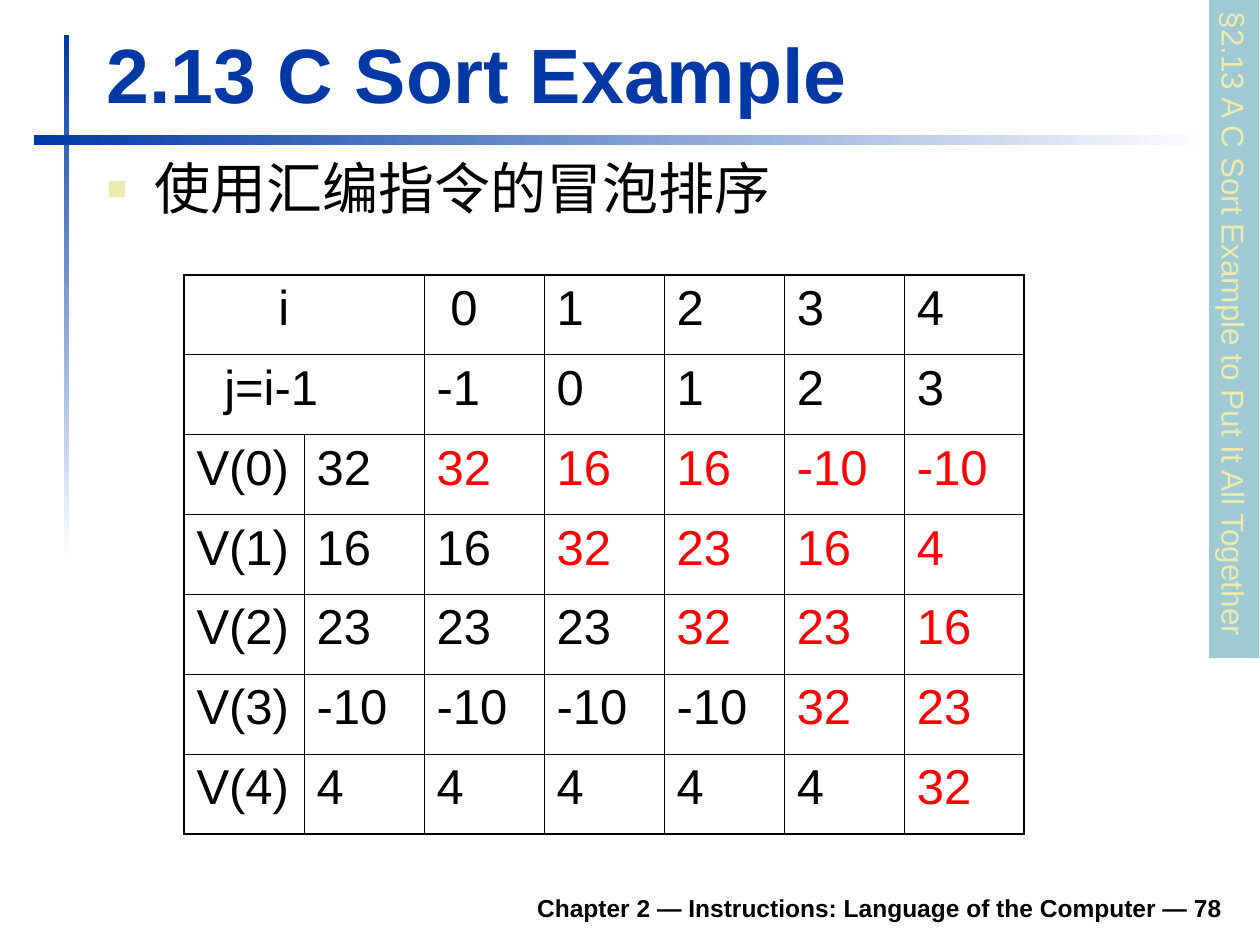
from lxml.etree import SubElement as Sub
from pptx import Presentation
from pptx.dml.color import RGBColor as Rgb
from pptx.enum.shapes import MSO_SHAPE as Shape
from pptx.enum.text import MSO_ANCHOR as Anchor, PP_ALIGN as Align
from pptx.oxml.ns import qn
from pptx.util import Inches, Pt

INK = {"blue": "0039A6", "white": "FFFFFF", "black": "000000",
       "red": "FF0000", "teal": "9FCAD3", "cream": "ECEAAC"}
ROWS = [
    ["i", "", "0", "1", "2", "3", "4"],
    ["j=i-1", "", "-1", "0", "1", "2", "3"],
    ["V(0)", "32", "32", "16", "16", "-10", "-10"],
    ["V(1)", "16", "16", "32", "23", "16", "4"],
    ["V(2)", "23", "23", "23", "32", "23", "16"],
    ["V(3)", "-10", "-10", "-10", "-10", "32", "23"],
    ["V(4)", "4", "4", "4", "4", "4", "32"],
]
INDENT = {(0, 0): 0.65, (1, 0): 0.22, (0, 2): 0.11}


def tint(name):
    return Rgb.from_string(INK[name])


def style(para, size, color, bold=False):
    for run in para.runs:
        font = run.font
        font.name, font.size, font.bold = "Arial", Pt(size), bold
        font.color.rgb = tint(color)


def add_bar(slide, box, angle=None):
    bar = slide.shapes.add_shape(Shape.RECTANGLE, *map(Inches, box))
    bar.shadow.inherit = False
    bar.line.fill.background()
    if angle is None:
        bar.fill.solid()
        bar.fill.fore_color.rgb = tint("teal")
    else:
        bar.fill.gradient()
        bar.fill.gradient_angle = angle
        for stop, name in zip(bar.fill.gradient_stops, ("blue", "white")):
            stop.color.rgb = tint(name)
    return bar


def add_text(slide, box, text, size, color, bold=False,
             align=Align.LEFT, anchor=Anchor.BOTTOM):
    frame = slide.shapes.add_textbox(*map(Inches, box)).text_frame
    frame.word_wrap = True
    frame.vertical_anchor = anchor
    para = frame.paragraphs[0]
    para.text = text
    para.alignment = align
    style(para, size, color, bold)
    return para


def add_bullet(para):
    props = para._p.get_or_add_pPr()
    props.set("marL", str(Inches(0.38)))
    props.set("indent", str(-Inches(0.38)))
    para.line_spacing = 0.9
    Sub(Sub(props, qn("a:buClr")), qn("a:srgbClr"), val=INK["cream"])
    Sub(props, qn("a:buSzPct"), val="60000")
    Sub(props, qn("a:buFont"), typeface="Arial")
    Sub(props, qn("a:buChar"), char="■")


def add_tab(slide):
    tab = add_bar(slide, (7.18, 2.41, 5.23, 0.4))
    tab.rotation = 90
    frame = tab.text_frame
    frame.word_wrap = False
    frame.vertical_anchor = Anchor.TOP
    para = frame.paragraphs[0]
    para.text = "§2.13 A C Sort Example to Put It All Together"
    para.alignment = Align.LEFT
    style(para, 18, "cream")


def set_edges(cell, row, col):
    props = cell._tc.get_or_add_tcPr()
    outer = {"L": col == 0, "R": col == len(ROWS[0]) - 1,
             "T": row == 0, "B": row == len(ROWS) - 1}
    for side, thick in outer.items():
        width = Pt(1.08 if thick else 0.45)
        line = Sub(props, qn(f"a:ln{side}"), w=str(width))
        Sub(Sub(line, qn("a:solidFill")), qn("a:srgbClr"), val=INK["black"])


def fill_cell(cell, row, col):
    set_edges(cell, row, col)
    cell.fill.background()
    if cell.is_spanned:
        return
    para = cell.text_frame.paragraphs[0]
    para.text = ROWS[row][col]
    if (row, col) in INDENT:
        props = para._p.get_or_add_pPr()
        props.set("marL", str(Inches(INDENT[row, col])))
    style(para, 28, "red" if row > 1 and col >= row else "black")


def add_grid(slide):
    box = map(Inches, (1.46, 2.18, 6.67, 4.44))
    table = slide.shapes.add_table(len(ROWS), len(ROWS[0]), *box).table
    table.first_row = table.horz_banding = False
    for row in range(2):
        table.cell(row, 0).merge(table.cell(row, 1))
    for row, line in enumerate(ROWS):
        for col in range(len(line)):
            fill_cell(table.cell(row, col), row, col)


def main():
    deck = Presentation()
    deck.slide_width, deck.slide_height = Inches(10), Inches(7.5)
    slide = deck.slides.add_slide(deck.slide_layouts[6])
    add_bar(slide, (0.51, 0.28, 0.04, 4.17), 270)
    add_bar(slide, (0.27, 1.07, 9.37, 0.08), 0)
    add_text(slide, (1.85, 6.98, 7.95, 0.39),
             "Chapter 2 — Instructions: Language of the Computer — 78",
             14, "black", True, Align.RIGHT)
    add_text(slide, (0.75, 0.16, 9.03, 0.83), "2.13 C Sort Example",
             44, "blue", True)
    topic = add_text(slide, (0.75, 1.23, 8.55, 0.63), "使用汇编指令的冒泡排序",
                     32, "black", anchor=Anchor.TOP)
    add_bullet(topic)
    add_tab(slide)
    add_grid(slide)
    deck.save("out.pptx")


if __name__ == "__main__":
    main()
